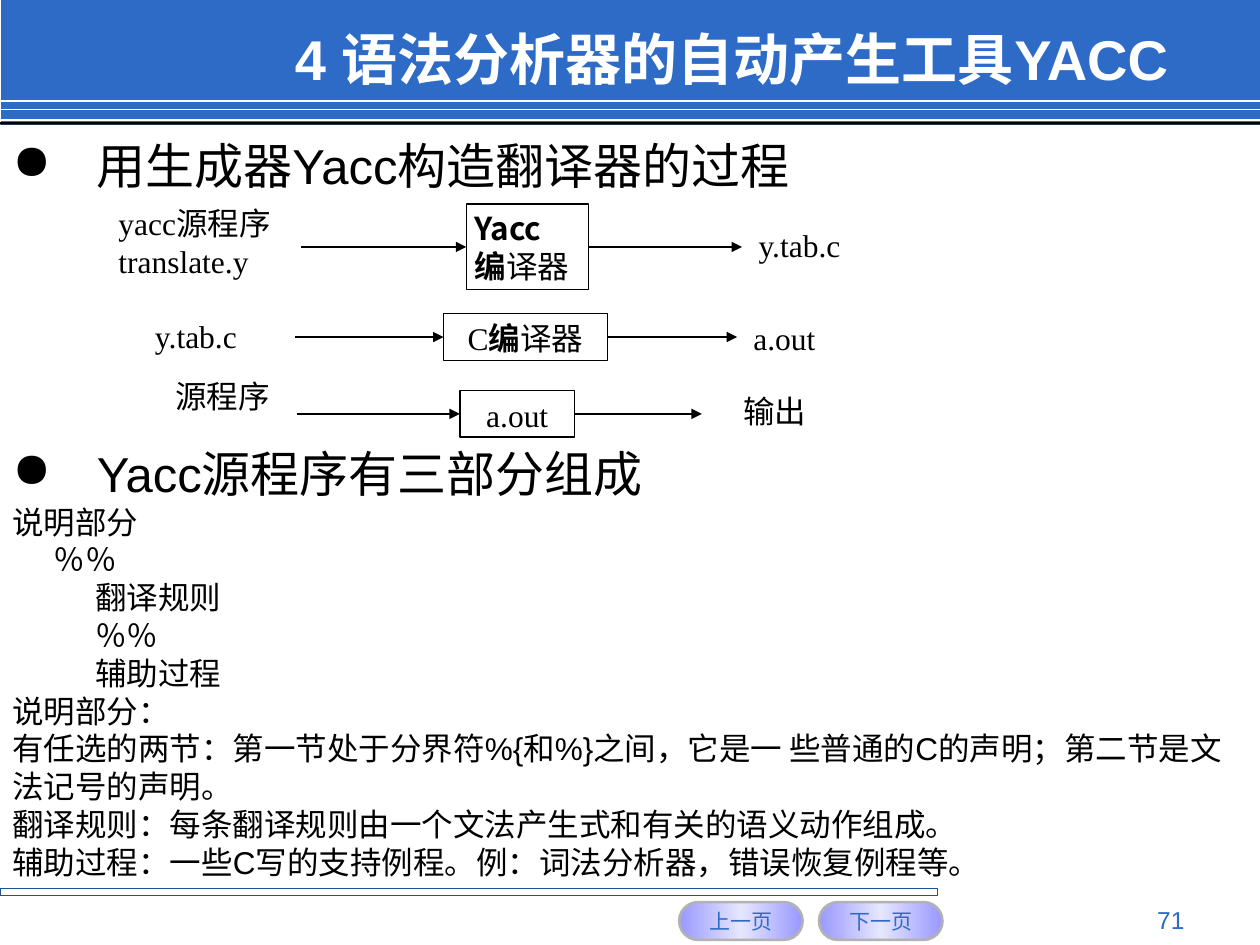
from copy import deepcopy
from dataclasses import dataclass

from lxml import etree
from pptx import Presentation
from pptx.dml.color import RGBColor as RGB
from pptx.enum.shapes import MSO_CONNECTOR as CONN, MSO_SHAPE as SHAPE
from pptx.enum.text import MSO_ANCHOR as ANCHOR, MSO_AUTO_SIZE as AUTOSIZE, PP_ALIGN as ALIGN
from pptx.oxml.ns import qn
from pptx.util import Emu, Pt

PX = 9144  # 100 px to the inch


@dataclass(frozen=True)
class Theme:
    blue: RGB = RGB(0x2D, 0x6B, 0xC7)
    frame: RGB = RGB(0x1D, 0x52, 0x8D)
    black: RGB = RGB(0, 0, 0)
    white: RGB = RGB(255, 255, 255)
    button_edge: RGB = RGB(0xB2, 0xB2, 0xB2)
    button_side: RGB = RGB(0x99, 0x99, 0xFF)
    button_middle: RGB = RGB(0xE6, 0xE6, 0xFF)
    sans: str = "Arial"
    serif: str = "Times New Roman"
    cjk: str = "Noto Sans CJK SC"
    title: int = 32
    heading: int = 28
    text: int = 18
    number: int = 14
    button: int = 12


T = Theme()


def write(sp, paragraphs, size, font=T.sans, color=T.black, align=ALIGN.LEFT, inset=(10, 5)):
    """Fill a shape; each paragraph is a list of (text, bold) runs."""
    tf = sp.text_frame
    tf.word_wrap = True
    tf.auto_size = AUTOSIZE.NONE
    tf.margin_left = tf.margin_right = inset[0] * PX
    tf.margin_top = tf.margin_bottom = inset[1] * PX
    for i, runs in enumerate(paragraphs):
        p = tf.add_paragraph() if i else tf.paragraphs[0]
        p.alignment = align
        p.line_spacing = Pt(round(size * 1.2, 1))
        p.font.size, p.font.name = Pt(size), font
        p.font.color.rgb = color
        etree.SubElement(p._p.pPr.find(qn("a:defRPr")), qn("a:ea"), typeface=T.cjk)
        for text, bold in runs:
            r = p.add_run()
            r.text = text
            r.font.bold = bold
    return tf


def add_line(s, x1, y1, x2, y2, color, width):
    line = s.shapes.add_connector(CONN.STRAIGHT, Emu(x1), Emu(y1), Emu(x2), Emu(y2))
    line.line.color.rgb = color
    line.line.width = Pt(width)
    etree.SubElement(line._element.spPr, qn("a:effectLst"))
    return line


prs = Presentation()
prs.slide_width, prs.slide_height = 1000 * PX, 750 * PX
s = prs.slides.add_slide(prs.slide_layouts[5])

# Header band and footer rule
for x, y, w, h, fill, edge in [
    (1, 0, 999, 99, T.blue, None),
    (0, 97, 1000, 2, T.black, None),
    (0, 705, 744, 6, None, T.frame),
]:
    sp = s.shapes.add_shape(SHAPE.RECTANGLE, x * PX, y * PX, w * PX, h * PX)
    sp.shadow.inherit = False
    if fill is None:
        sp.fill.background()
        sp.line.color.rgb = edge
        sp.line.width = Pt(0.75)
    else:
        sp.fill.solid()
        sp.fill.fore_color.rgb = fill
        sp.line.fill.background()
for y in (80, 87, 95):
    add_line(s, 0, y * PX, 1000 * PX, y * PX, T.white, 1)

# Title, raised above the header band
title = s.shapes.title
title.left, title.top, title.width, title.height = 224 * PX, 17 * PX, 756 * PX, 58 * PX
write(title, [[("4 语法分析器的自动产生工具YACC", True)]], T.title, color=T.white)
title.text_frame.vertical_anchor = ANCHOR.MIDDLE
s.shapes._spTree.append(title._element)

# Navigation buttons
for x, label in [(539, "上一页"), (650, "下一页")]:
    sp = s.shapes.add_shape(SHAPE.ROUNDED_RECTANGLE, x * PX, 716 * PX, 98 * PX, 30 * PX)
    sp.adjustments[0] = 0.5
    sp.shadow.inherit = False
    sp.fill.gradient()
    sp.fill.gradient_angle = 0
    stops = sp._element.spPr.find(".//" + qn("a:gsLst"))
    stops.append(deepcopy(stops[0]))
    colors = (T.button_side, T.button_middle, T.button_side)
    for stop, color, position in zip(sp.fill.gradient_stops, colors, (0, 0.5, 1)):
        stop.color.rgb = color
        stop.position = position
    sp.line.color.rgb = T.button_edge
    sp.line.width = Pt(1.5)
    tf = write(sp, [[(label, None)]], T.button, color=T.blue, align=ALIGN.CENTER)
    tf.vertical_anchor = ANCHOR.MIDDLE

number = s.shapes.add_textbox(717 * PX, 713 * PX, 233 * PX, 27 * PX)
write(number, [[("71", None)]], T.number, color=T.blue, align=ALIGN.RIGHT)

# Headings with bullets
for y, text in [(103, "用生成器Yacc构造翻译器的过程"), (347, "Yacc源程序有三部分组成")]:
    sp = s.shapes.add_textbox(0, y * PX, 1000 * PX, 52 * PX)
    pPr = write(sp, [[(text, None)]], T.heading).paragraphs[0]._p.pPr
    pPr.set("marL", str(67 * PX))
    pPr.set("indent", str(-67 * PX))
    bullet = etree.Element(qn("a:buChar"), char="●")
    pPr.find(qn("a:defRPr")).addprevious(bullet)

# Flow rows: input label, arrow start, tool box, arrow end, output label
flow = [
    (["yacc源程序", "translate.y"], (87, 158, 153, 67), 239,
     [[("Yacc", True)], [("编", True), ("译器", False)]], (370, 162, 97, 68), T.cjk, ALIGN.LEFT,
     589, ["y.tab.c"], (595, 175, 89, 37)),
    (["y.tab.c"], (116, 248, 111, 37), 234,
     [[("C", False), ("编", True), ("译器", False)]], (352, 249, 130, 37), T.serif, ALIGN.CENTER,
     585, ["a.out"], (591, 249, 86, 37)),
    (["源程序"], (132, 295, 95, 37), 236,
     [[("a.out", False)]], (365, 310, 91, 37), T.serif, ALIGN.CENTER,
     557, ["输出"], (583, 307, 88, 37)),
]
for source, source_at, start, tool, tool_at, font, align, end, result, result_at in flow:
    box = s.shapes.add_shape(SHAPE.RECTANGLE, *(v * PX for v in tool_at))
    box.shadow.inherit = False
    box.fill.solid()
    box.fill.fore_color.rgb = T.white
    box.line.color.rgb = T.black
    box.line.width = Pt(0.75)
    write(box, tool, T.text, font, align=align, inset=(7, 4)).vertical_anchor = ANCHOR.TOP

    for lines, at in [(source, source_at), (result, result_at)]:
        label = s.shapes.add_textbox(*(v * PX for v in at))
        write(label, [[(line, None)] for line in lines], T.text, T.serif, inset=(7, 4))

    y = box.top + box.height // 2
    arrow_in = add_line(s, start * PX, y, box.left, y, T.black, 0.75)
    arrow_in.end_connect(box, 1)
    arrow_out = add_line(s, box.left + box.width, y, end * PX, y, T.black, 0.75)
    arrow_out.begin_connect(box, 3)
    for arrow in (arrow_in, arrow_out):
        etree.SubElement(arrow.line._get_or_add_ln(), qn("a:tailEnd"), type="triangle")

# Parts of a Yacc source program, each with its indent
parts = [
    (0, "说明部分"),
    (33, "％％"),
    (66, "翻译规则"),
    (66, "％％"),
    (66, "辅助过程"),
    (0, "说明部分："),
    (0, "有任选的两节：第一节处于分界符%{和%}之间，它是一 些普通的C的声明；第二节是文法记号的声明。"),
    (0, "翻译规则：每条翻译规则由一个文法产生式和有关的语义动作组成。"),
    (0, "辅助过程：一些C写的支持例程。例：词法分析器，错误恢复例程等。"),
]
sp = s.shapes.add_textbox(0, 394 * PX, 1000 * PX, 310 * PX)
tf = write(sp, [[(text, None)] for _, text in parts], T.text)
for p, (indent, _) in zip(tf.paragraphs, parts):
    p._p.pPr.set("marL", str(indent * PX))

prs.save("out.pptx")
